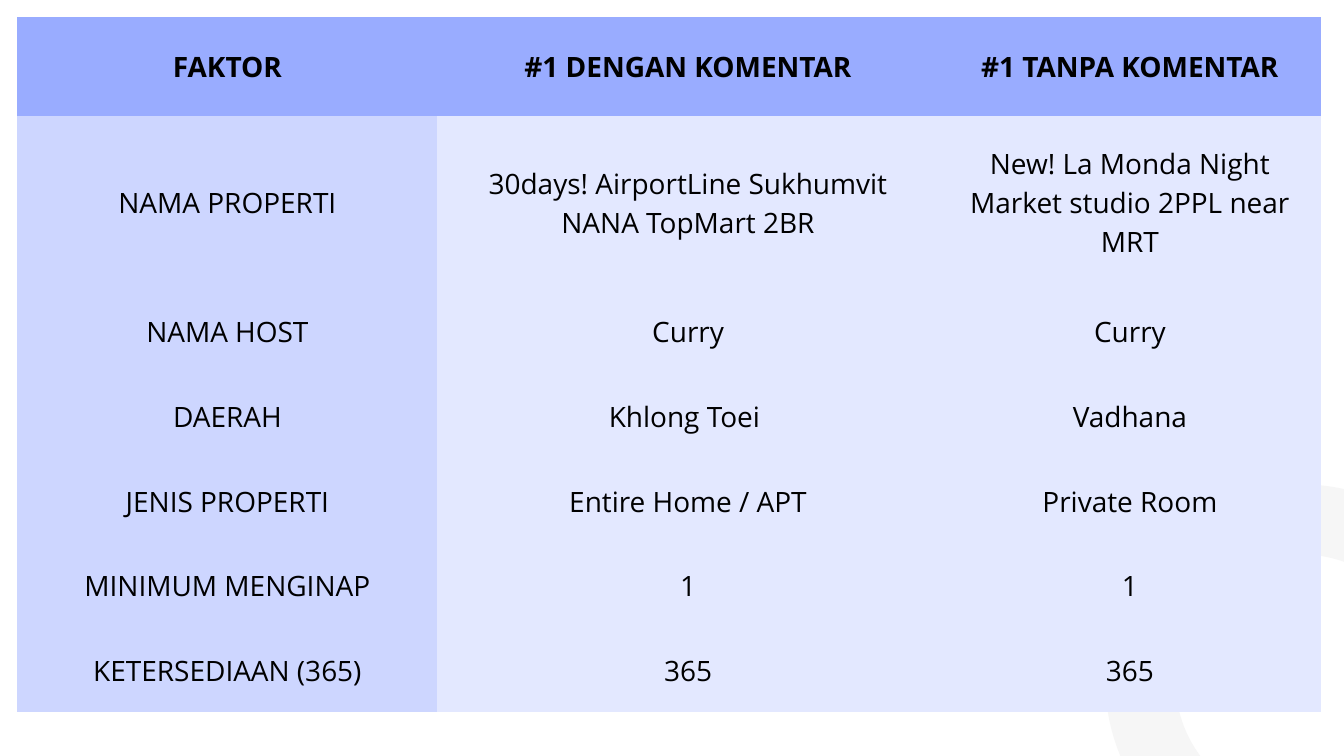
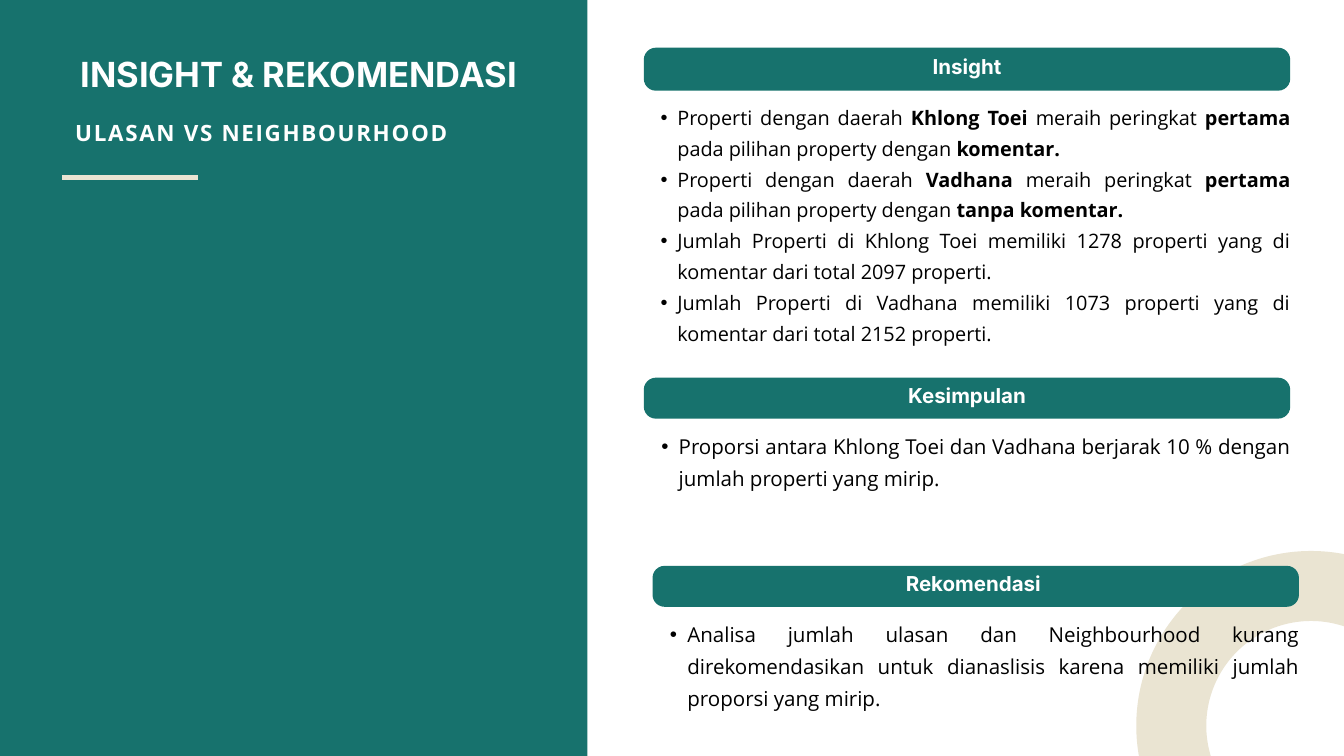
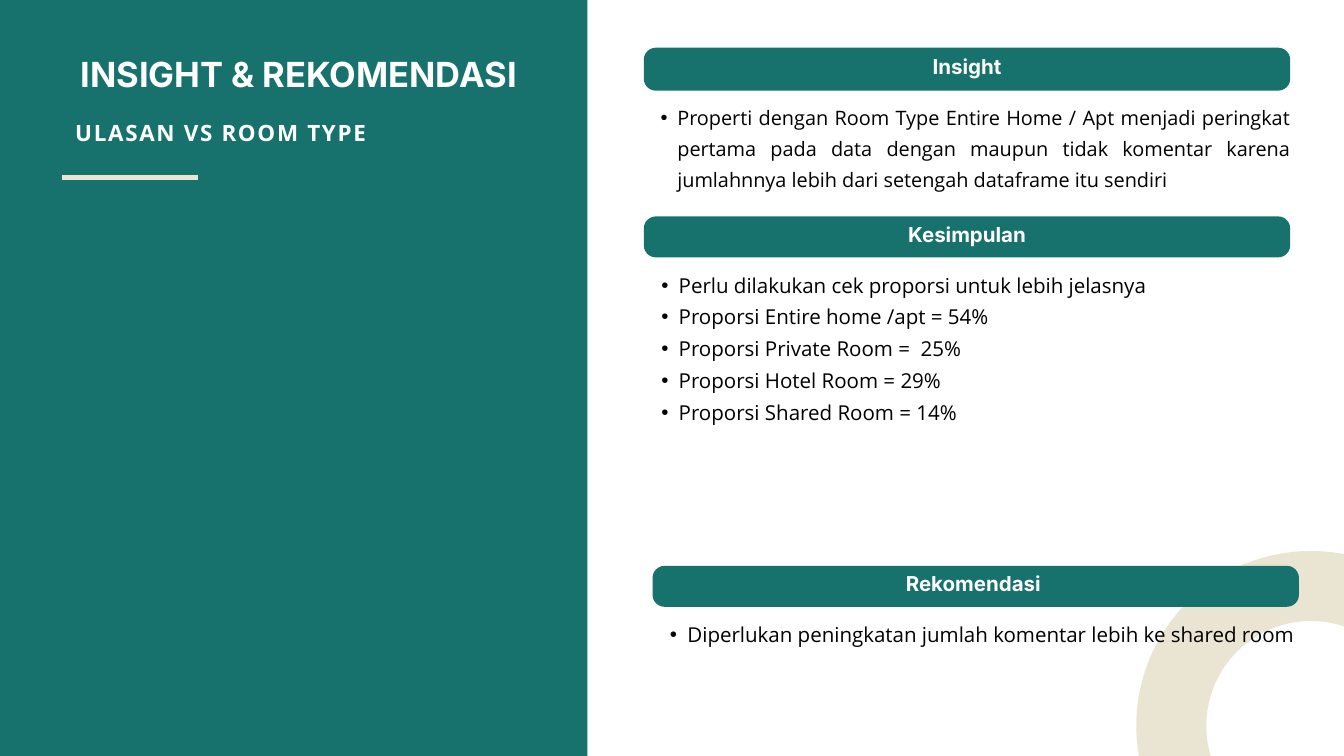
from dataclasses import dataclass

from lxml.etree import SubElement
from pptx import Presentation
from pptx.dml.color import RGBColor
from pptx.enum.shapes import MSO_CONNECTOR, MSO_SHAPE
from pptx.enum.text import MSO_ANCHOR, MSO_AUTO_SIZE, PP_ALIGN
from pptx.oxml.ns import qn
from pptx.util import Inches, Pt


@dataclass(frozen=True)
class Theme:
    teal: str = "17726D"
    sand: str = "EAE4D2"
    pale: str = "F6F6F6"
    white: str = "FFFFFF"
    black: str = "000000"
    head: str = "99ACFF"
    label: str = "CDD6FF"
    value: str = "E3E8FF"
    sans: str = "Open Sans"
    inter: str = "Inter"
    cell: float = 30
    title: float = 37
    sub: float = 24
    body: float = 22
    small: float = 21.3
    ring: float = 75
    rule: float = 6


THEME = Theme()
SIZE = (20, 11.25)
WIDTH = 9.62  # bars and the text below them

TABLE = [
    ("FAKTOR", "#1 DENGAN KOMENTAR", "#1 TANPA KOMENTAR"),
    ("NAMA PROPERTI", "30days! AirportLine Sukhumvit NANA TopMart 2BR",
     "New! La Monda Night Market studio 2PPL near MRT"),
    ("NAMA HOST", "Curry", "Curry"),
    ("DAERAH", "Khlong Toei ", "Vadhana"),
    ("JENIS PROPERTI", "Entire Home / APT", "Private Room"),
    ("MINIMUM MENGINAP", "1", "1"),
    ("KETERSEDIAAN (365)", "365", "365"),
]
COLS = (6.25, 7.46, 5.69)
ROWS = (1.46, 2.58) + (1.26,) * 5

# Each section: heading, bar (left, top, height), text height, bullets.
# Words between asterisks are bold.
TITLE = "INSIGHT & REKOMENDASI"
PAGES = [
    ("ULASAN VS NEIGHBOURHOOD", [
        ("Insight", (9.58, 0.71, 0.64), 4, [
            "Properti dengan daerah *Khlong Toei* meraih peringkat *pertama*"
            " pada pilihan property dengan *komentar.*",
            "Properti dengan daerah *Vadhana* meraih peringkat *pertama*"
            " pada pilihan property dengan *tanpa komentar.*",
            "Jumlah Properti di Khlong Toei memiliki 1278 properti yang di"
            " komentar dari total 2097 properti.",
            "Jumlah Properti di Vadhana memiliki 1073 properti yang di"
            " komentar dari total 2152 properti.",
        ]),
        ("Kesimpulan", (9.58, 5.62, 0.61), 0.91, [
            "Proporsi antara Khlong Toei dan Vadhana berjarak 10 % dengan"
            " jumlah properti yang mirip.",
        ]),
        ("Rekomendasi ", (9.71, 8.42, 0.61), 1.38, [
            "Analisa jumlah ulasan dan Neighbourhood kurang direkomendasikan"
            " untuk dianaslisis karena memiliki jumlah proporsi yang mirip.",
        ]),
    ]),
    ("ULASAN VS ROOM TYPE", [
        ("Insight", (9.58, 0.71, 0.64), 1.76, [
            "Properti dengan Room Type Entire Home / Apt menjadi peringkat"
            " pertama pada data dengan maupun tidak komentar karena jumlahnnya"
            " lebih dari setengah dataframe itu sendiri",
        ]),
        ("Kesimpulan", (9.58, 3.22, 0.61), 2.32, [
            "Perlu dilakukan cek proporsi untuk lebih jelasnya",
            "Proporsi Entire home /apt = 54% ",
            "Proporsi Private Room =  25%",
            "Proporsi Hotel Room = 29%",
            "Proporsi Shared Room = 14%",
        ]),
        ("Rekomendasi ", (9.71, 8.42, 0.61), 0.45, [
            "Diperlukan peningkatan jumlah komentar lebih ke shared room",
        ]),
    ]),
]


def color(code):
    return RGBColor.from_string(code)


def write(frame, text, *, size, lead, font=THEME.sans, ink=THEME.black,
          bold=False, align=PP_ALIGN.LEFT, space=0, hang=0):
    """Fill a text frame; text is a string or a list of paragraphs."""
    lines = [text] if isinstance(text, str) else text
    for i, line in enumerate(lines):
        para = frame.add_paragraph() if i else frame.paragraphs[0]
        para.alignment = align
        para.line_spacing = Pt(lead)
        if hang:
            props = para._p.get_or_add_pPr()
            props.set("lvl", "1")
            props.set("marL", str(Inches(2 * hang)))
            props.set("indent", str(-Inches(hang)))
            SubElement(props, qn("a:buFont"), typeface="Arial")
            SubElement(props, qn("a:buChar"), char="•")
        for j, part in enumerate(line.split("*")):
            if not part:
                continue
            run = para.add_run()
            run.text = part
            run.font.name = font
            run.font.size = Pt(size)
            run.font.bold = bold or j % 2 == 1
            run.font.color.rgb = color(ink)
            if space:
                run._r.get_or_add_rPr().set("spc", str(int(space * 100)))


def label(slide, box, text, inset=0, middle=False, **style):
    frame = slide.shapes.add_textbox(*map(Inches, box)).text_frame
    frame.word_wrap = True
    frame.margin_left = frame.margin_right = Inches(inset)
    frame.margin_top = frame.margin_bottom = Inches(inset)
    if middle:
        frame.vertical_anchor = MSO_ANCHOR.MIDDLE
    else:
        frame.auto_size = MSO_AUTO_SIZE.SHAPE_TO_FIT_TEXT
    write(frame, text, **style)


def block(slide, kind, box, fill):
    shape = slide.shapes.add_shape(kind, *map(Inches, box))
    shape.shadow.inherit = False
    shape.fill.solid()
    shape.fill.fore_color.rgb = color(fill)
    shape.line.fill.background()
    return shape


def ring(slide, left, top, side, ink):
    shape = block(slide, MSO_SHAPE.OVAL, (left, top, side, side), ink)
    shape.fill.background()
    shape.line.color.rgb = color(ink)
    shape.line.width = Pt(THEME.ring)


def rule(slide, start, end):
    line = slide.shapes.add_connector(
        MSO_CONNECTOR.STRAIGHT, *map(Inches, start + end))
    line.line.color.rgb = color(THEME.sand)
    line.line.width = Pt(THEME.rule)
    SubElement(line._element.spPr, qn("a:effectLst"))


def border(cell):
    """Give all four sides a line of no width."""
    props = cell._tc.get_or_add_tcPr()
    for side in ("lnL", "lnR", "lnT", "lnB"):
        edge = SubElement(props, qn(f"a:{side}"), w="0")
        fill = SubElement(edge, qn("a:solidFill"))
        SubElement(fill, qn("a:srgbClr"), val=THEME.head)


def grid(slide):
    box = (0.26, 0.26, sum(COLS), sum(ROWS))
    table = slide.shapes.add_table(
        len(ROWS), len(COLS), *map(Inches, box)).table
    for col, width in zip(table.columns, COLS):
        col.width = Inches(width)
    for row, height in zip(table.rows, ROWS):
        row.height = Inches(height)
    for r, texts in enumerate(TABLE):
        for c, text in enumerate(texts):
            cell = table.cell(r, c)
            border(cell)
            cell.fill.solid()
            fill = THEME.head if r == 0 else THEME.value if c else THEME.label
            cell.fill.fore_color.rgb = color(fill)
            cell.vertical_anchor = MSO_ANCHOR.MIDDLE
            cell.margin_left = cell.margin_right = Inches(0.21)
            cell.margin_top = cell.margin_bottom = Inches(0.21)
            write(cell.text_frame, text, size=THEME.cell, lead=42,
                  bold=r == 0, align=PP_ALIGN.CENTER)


def section(slide, head, bar, tall, items):
    left, top, high = bar
    shape = block(slide, MSO_SHAPE.ROUNDED_RECTANGLE,
                  (left, top, WIDTH, high), THEME.teal)
    shape.adjustments[0] = 0.18 / high
    label(slide, (left, top - 0.15, WIDTH, high + 0.15), head, inset=0.06,
          middle=True, size=THEME.body, lead=30.8, font=THEME.inter,
          ink=THEME.white, bold=True, align=PP_ALIGN.CENTER)
    if head == "Insight":
        style = dict(size=THEME.small, lead=33, hang=0.25)
    else:
        style = dict(size=THEME.body, lead=34.1, hang=0.26)
    label(slide, (left, top + high + 0.12, WIDTH, tall), items,
          align=PP_ALIGN.JUSTIFY, **style)


def page(slide, sub, parts):
    block(slide, MSO_SHAPE.RECTANGLE, (0, 0, 8.74, SIZE[1]), THEME.teal)
    rule(slide, (0.92, 2.64), (2.95, 2.64))
    ring(slide, 17.43, 8.72, 4.16, THEME.sand)
    label(slide, (0.65, 0.87, 7.59, 0.56), TITLE, size=THEME.title, lead=38.8,
          font=THEME.inter, ink=THEME.white, bold=True, align=PP_ALIGN.CENTER)
    label(slide, (1.12, 1.7, 6.13, 0.43), sub, size=THEME.sub, lead=33.6,
          ink=THEME.white, bold=True, space=1.8)
    for part in parts:
        section(slide, *part)


def main():
    deck = Presentation()
    deck.slide_width, deck.slide_height = map(Inches, SIZE)
    blank = deck.slide_layouts[6]
    first = deck.slides.add_slide(blank)
    ring(first, 16.97, 7.73, 4.8, THEME.pale)
    grid(first)
    for sub, parts in PAGES:
        page(deck.slides.add_slide(blank), sub, parts)
    deck.save("out.pptx")


if __name__ == "__main__":
    main()
